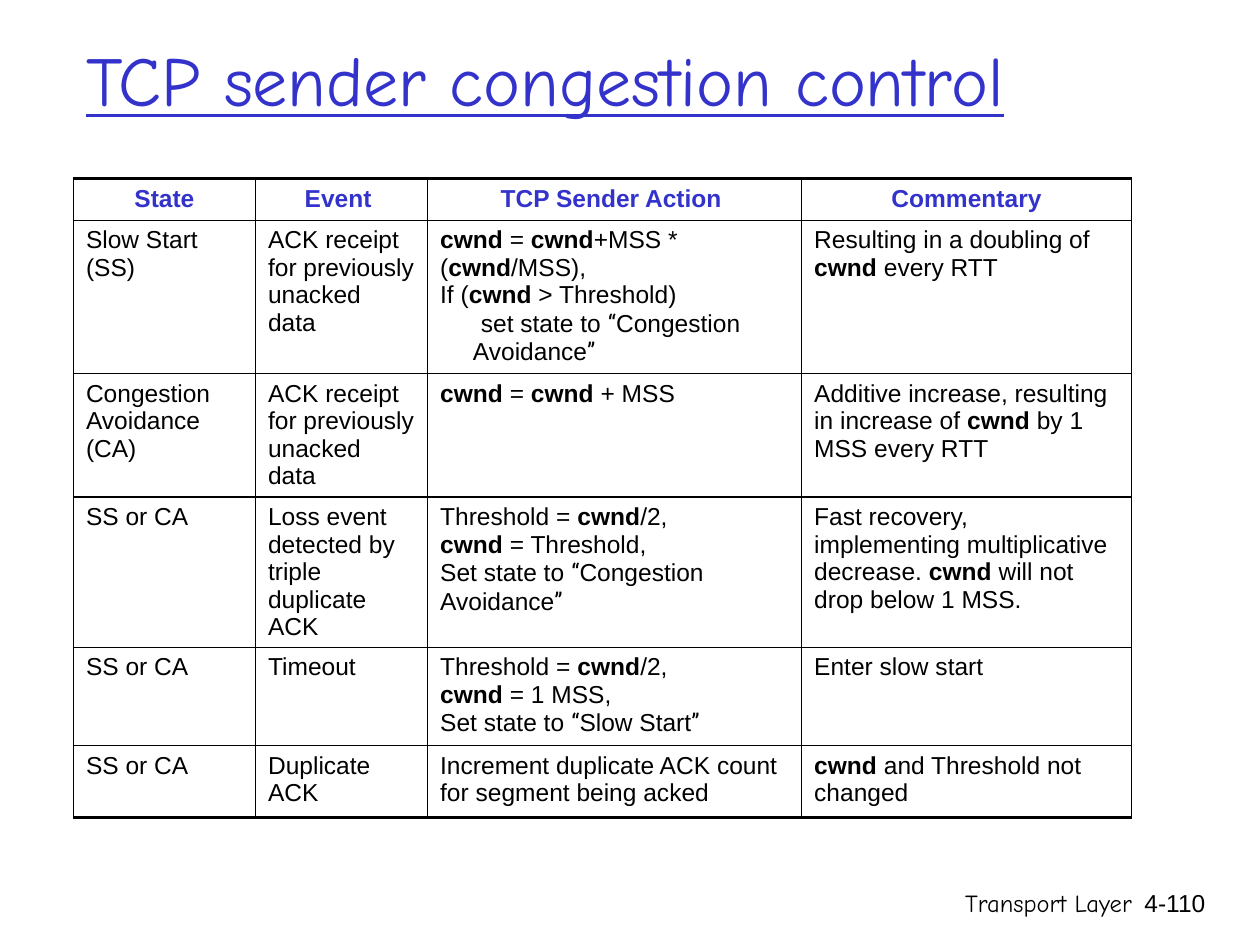
from dataclasses import dataclass

from lxml.etree import SubElement
from pptx import Presentation
from pptx.dml.color import RGBColor
from pptx.enum.text import MSO_ANCHOR, MSO_AUTO_SIZE, PP_ALIGN
from pptx.oxml.ns import qn
from pptx.util import Cm, Pt


@dataclass(frozen=True)
class Theme:
    """Colours, fonts and sizes of the slide."""
    blue: RGBColor = RGBColor(0x33, 0x33, 0xCC)
    black: RGBColor = RGBColor(0, 0, 0)
    heading: str = "Comic Neue"
    body: str = "Arial"
    quotes: str = "Roboto Condensed"
    title_size: int = 40
    text_size: int = 14


@dataclass(frozen=True)
class Footer:
    """One piece of the footer line."""
    text: str
    left: float
    width: float
    font: str


THEME = Theme()
LEFT = 1.48
FOOTERS = [
    Footer("Transport Layer", 15.02, 8.05, THEME.heading),
    Footer("4-110", 22.67, 1.88, THEME.body),
]
COL_WIDTHS = [3.67, 3.47, 7.54, 6.65]
ROW_HEIGHTS = [0.84, 3.07, 2.49, 3.02, 1.98, 1.45]
ACK_RECEIPT = "ACK receipt for previously unacked data"
HEADER = ["State", "Event ", "TCP Sender Action ", "Commentary"]
ROWS = [
    ["Slow Start (SS)", ACK_RECEIPT,
     "cwnd = cwnd+MSS * (cwnd/MSS),\nIf (cwnd > Threshold)\n"
     "\tset state to “Congestion Avoidance”",
     "Resulting in a doubling of cwnd every RTT"],
    ["Congestion\nAvoidance (CA)", ACK_RECEIPT,
     "cwnd = cwnd + MSS",
     "Additive increase, resulting in increase of cwnd by 1 MSS every RTT"],
    ["SS or CA", "Loss event detected by triple duplicate ACK",
     "Threshold = cwnd/2,\ncwnd = Threshold,\nSet state to “Congestion Avoidance”",
     "Fast recovery, implementing multiplicative decrease. cwnd will not drop below 1 MSS."],
    ["SS or CA", "Timeout",
     "Threshold = cwnd/2,\ncwnd = 1 MSS,\nSet state to “Slow Start”",
     "Enter slow start"],
    ["SS or CA", "Duplicate ACK",
     "Increment duplicate ACK count for segment being acked",
     "cwnd and Threshold not changed"],
]


def write_text(tf, text: str, *, size: int = THEME.text_size, font: str = THEME.body,
               color: RGBColor = THEME.black, bold: bool = False,
               underline: bool = False, align: PP_ALIGN = PP_ALIGN.LEFT) -> None:
    """Write lines as paragraphs, with cwnd bold, quotes set apart and tabs as indents."""
    for i, line in enumerate(text.split("\n")):
        p = tf.paragraphs[0] if i == 0 else tf.add_paragraph()
        p.alignment = align
        if line.startswith("\t"):
            pPr = p._p.get_or_add_pPr()
            pPr.set("marL", str(Cm(0.66)))
            pPr.set("indent", str(Cm(0.16)))
        marked = line.lstrip("\t")
        for token in ("cwnd", "“", "”"):
            marked = marked.replace(token, f"|{token}|")
        for part in filter(None, marked.split("|")):
            r = p.add_run()
            r.text = part
            r.font.size = Pt(size)
            r.font.name = THEME.quotes if part in "“”" else font
            r.font.color.rgb = color
            r.font.bold = bold or part == "cwnd"
            r.font.underline = underline


def set_borders(cell, top: float, bottom: float, side: float = 0.75) -> None:
    """Draw black lines of the given point widths around a cell."""
    tcPr = cell._tc.get_or_add_tcPr()
    for tag, width in (("lnL", side), ("lnR", side), ("lnT", top), ("lnB", bottom)):
        ln = SubElement(tcPr, qn(f"a:{tag}"), w=str(Pt(width)))
        fill = SubElement(ln, qn("a:solidFill"))
        SubElement(fill, qn("a:srgbClr"), val=str(THEME.black))


def add_title(s, text: str) -> None:
    """Place and write the slide title."""
    sp = s.shapes.title
    sp.left, sp.top, sp.width, sp.height = Cm(LEFT), Cm(0), Cm(21.59), Cm(3.18)
    tf = sp.text_frame
    tf.auto_size = MSO_AUTO_SIZE.NONE
    tf.vertical_anchor = MSO_ANCHOR.MIDDLE
    write_text(tf, text, size=THEME.title_size, font=THEME.heading,
               color=THEME.blue, underline=True)


def add_state_table(s) -> None:
    """Add the table of sender states, events and actions."""
    rows = [HEADER, *ROWS]
    tbl = s.shapes.add_table(len(rows), len(HEADER), Cm(LEFT), Cm(3.6),
                             Cm(sum(COL_WIDTHS)), Cm(sum(ROW_HEIGHTS))).table
    tbl.first_row = tbl.horz_banding = False
    for col, width in zip(tbl.columns, COL_WIDTHS):
        col.width = Cm(width)
    for row, height in zip(tbl.rows, ROW_HEIGHTS):
        row.height = Cm(height)
    header_format = dict(color=THEME.blue, bold=True, align=PP_ALIGN.CENTER)
    for i, texts in enumerate(rows):
        for j, text in enumerate(texts):
            cell = tbl.cell(i, j)
            set_borders(cell, top=2 if i == 0 else 1,
                        bottom=2 if i == len(rows) - 1 else 1)
            cell.fill.background()
            write_text(cell.text_frame, text, **(header_format if i == 0 else {}))


def add_footer(s, footer: Footer) -> None:
    """Add one right-aligned footer text."""
    sp = s.shapes.add_textbox(Cm(footer.left), Cm(17.78), Cm(footer.width), Cm(1.27))
    sp.text_frame.word_wrap = True
    write_text(sp.text_frame, footer.text, font=footer.font, align=PP_ALIGN.RIGHT)


def main() -> None:
    """Build and save the slide."""
    prs = Presentation()
    prs.slide_width, prs.slide_height = Cm(25.4), Cm(19.05)
    s = prs.slides.add_slide(prs.slide_layouts[5])
    add_title(s, "TCP sender congestion control")
    add_state_table(s)
    for footer in FOOTERS:
        add_footer(s, footer)
    prs.save("out.pptx")


if __name__ == "__main__":
    main()
